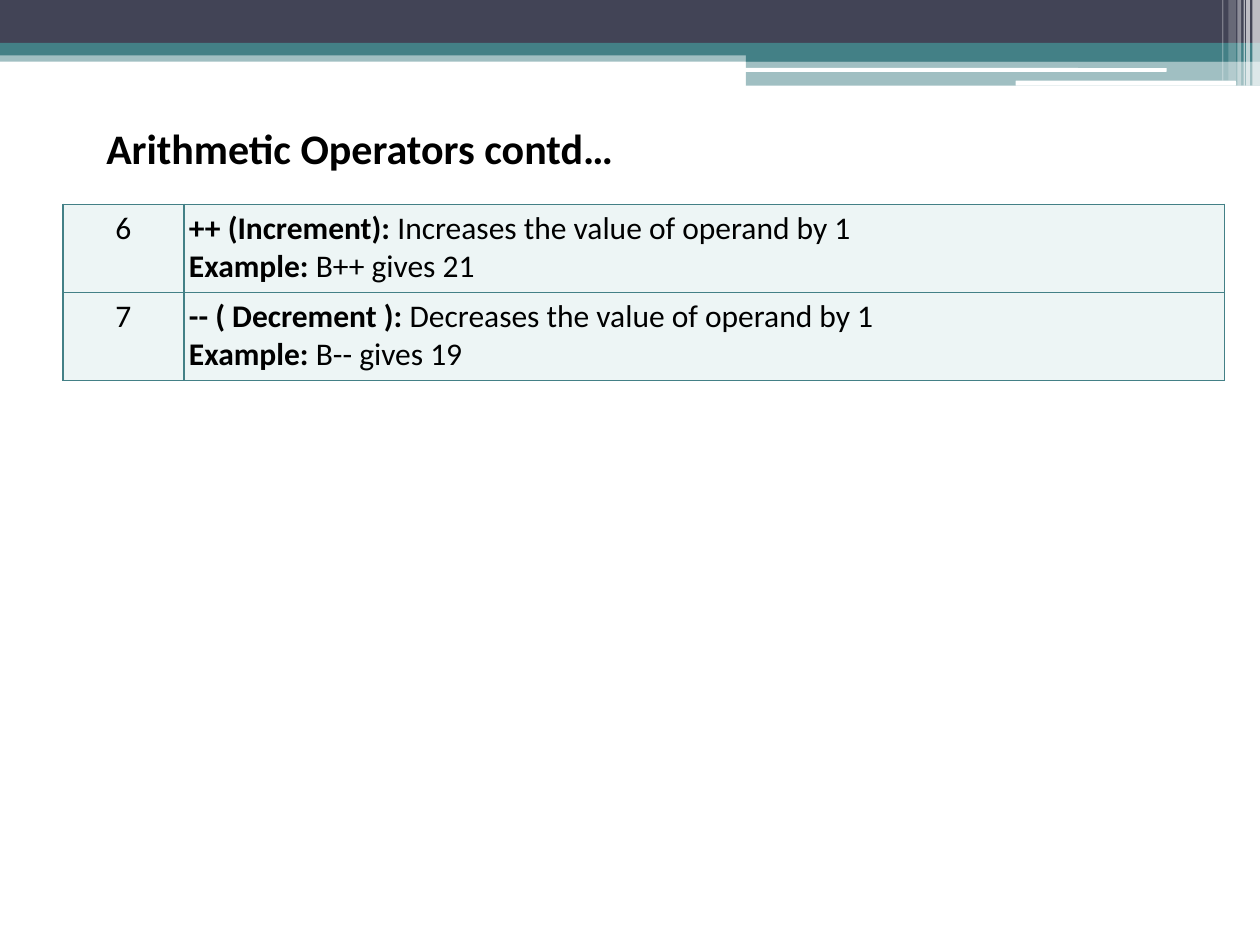
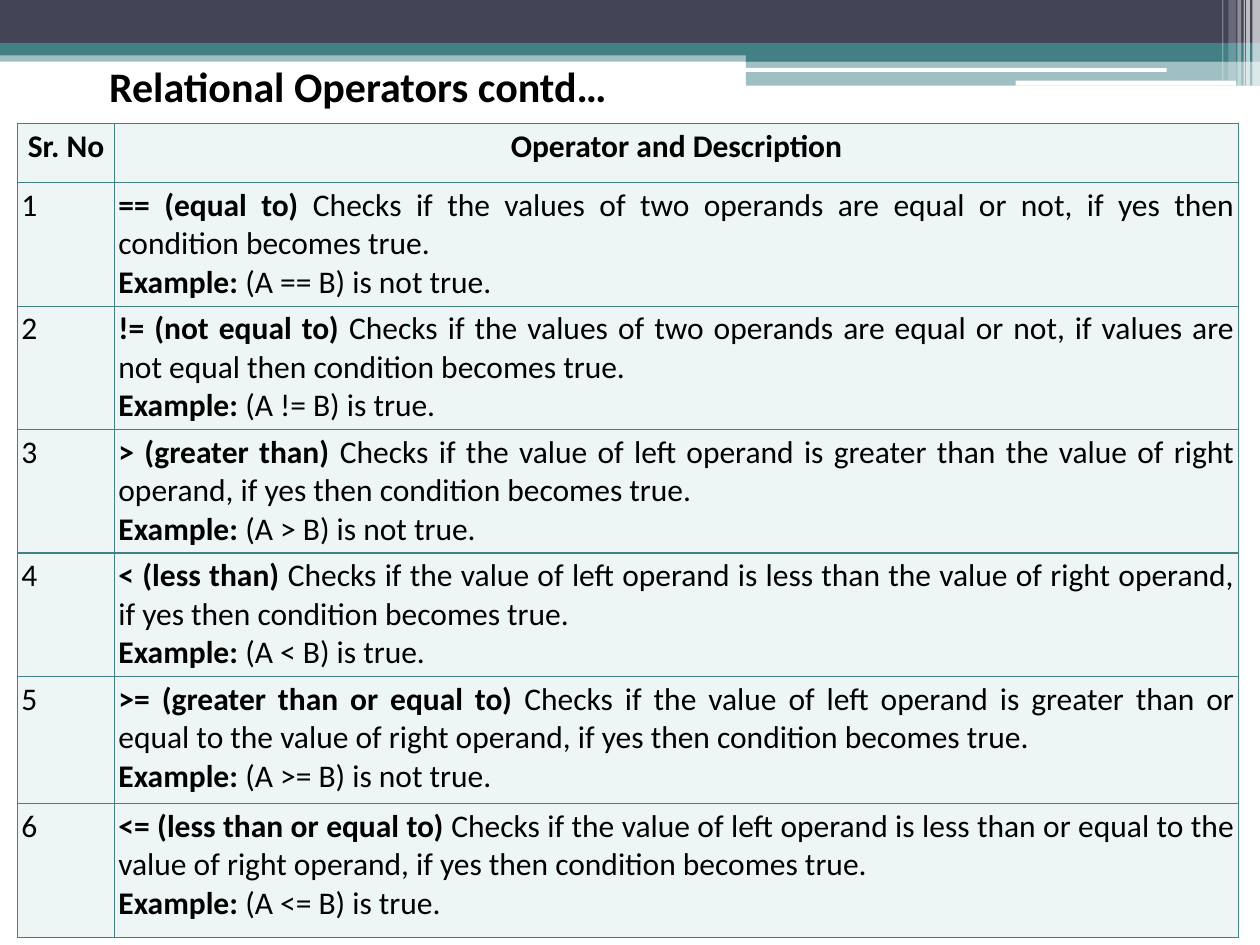
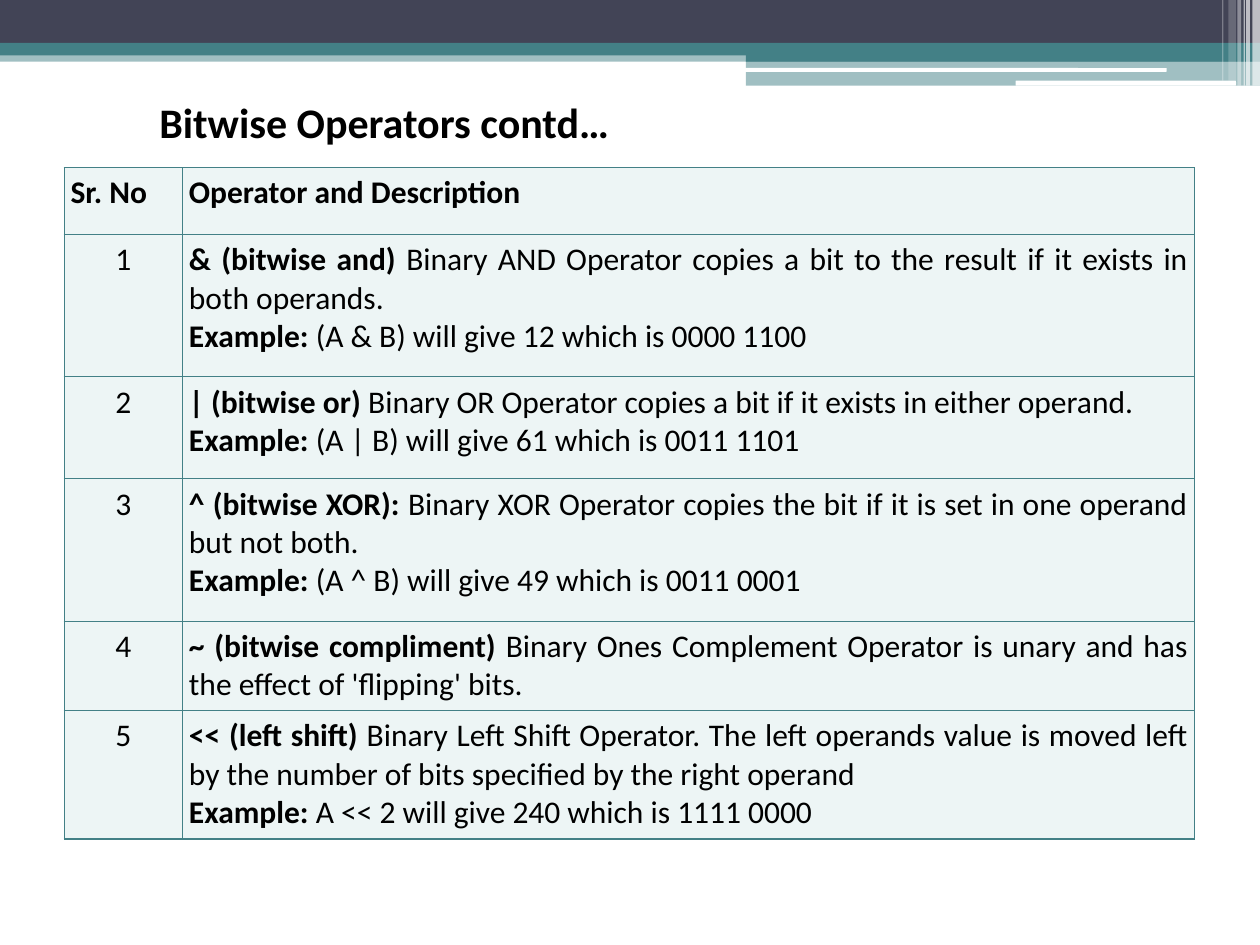
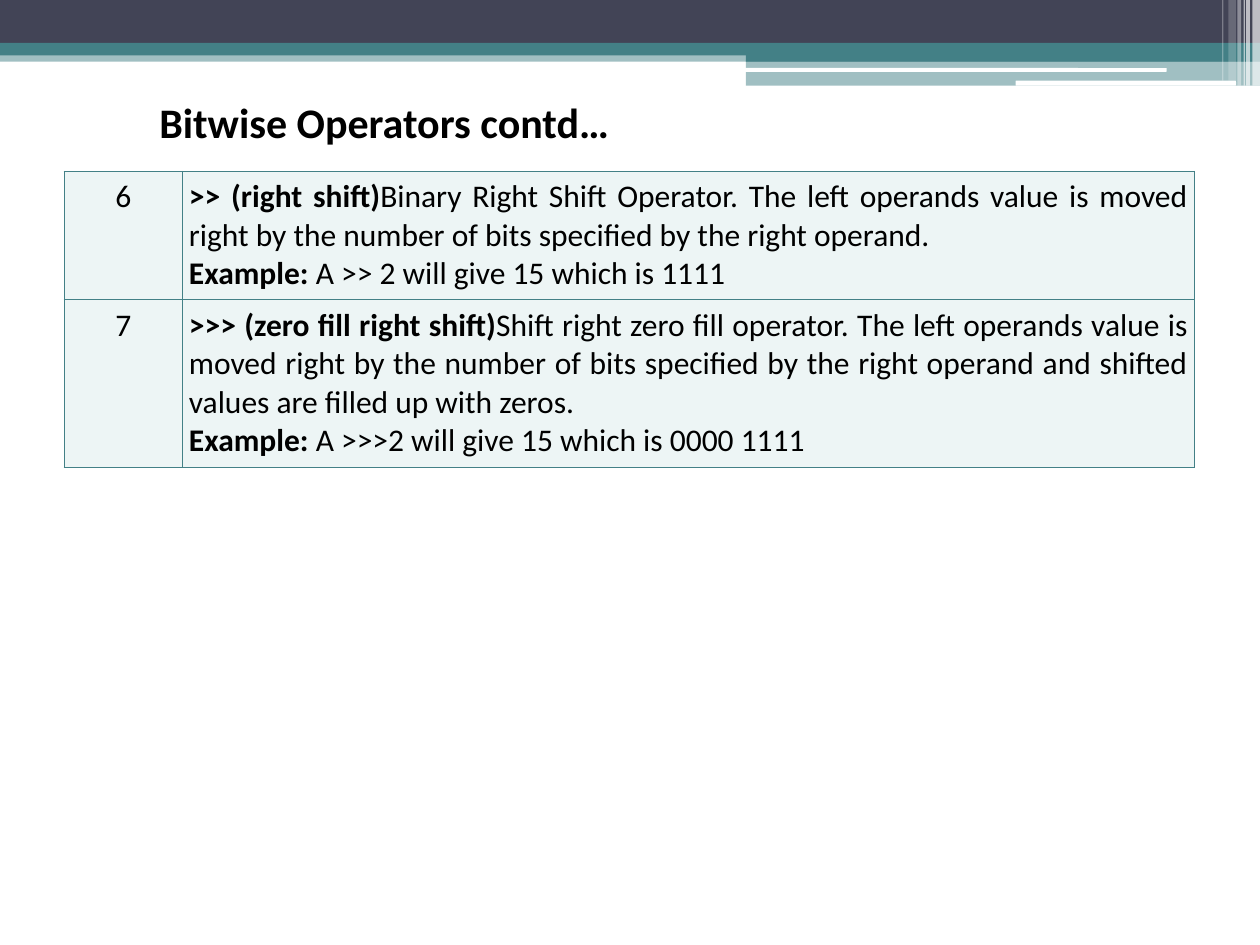
from lxml.etree import SubElement
from pptx import Presentation
from pptx.dml.color import RGBColor
from pptx.enum.shapes import MSO_SHAPE
from pptx.enum.text import MSO_ANCHOR, PP_ALIGN
from pptx.oxml.ns import qn
from pptx.util import Inches, Pt

NAVY = RGBColor(0x42, 0x44, 0x56)
TEAL = RGBColor(0x43, 0x80, 0x86)
PALE = RGBColor(0xED, 0xF5, 0xF5)
WHITE = RGBColor(0xFF, 0xFF, 0xFF)
BLACK = RGBColor(0x00, 0x00, 0x00)
FONT = "Calibri"
LEFT, CENTER, JUSTIFY = PP_ALIGN.LEFT, PP_ALIGN.CENTER, PP_ALIGN.JUSTIFY

BANDS = [
    ((0, 0.4, 10, 0.09), TEAL, 50),
    ((0, 0, 10, 0.34), NAVY, 100),
    ((0, 0.34, 10, 0.1), TEAL, 100),
    ((5.92, 0.39, 4.08, 0.1), TEAL, 100),
    ((5.92, 0.48, 4.08, 0.2), TEAL, 50),
]
BARS = [(5.91, 0.54, 3.35, 0.03), (8.06, 0.64, 1.75, 0.04)]
STRIPES = [
    (9.94, 0.06, 0.68, 65),
    (9.89, 0.03, 0.68, 65),
    (9.87, 0.01, 0.68, 60),
    (9.82, 0.03, 0.68, 40),
    (9.75, 0.06, 0.64, 20),
    (9.7, 0.01, 0.64, 30),
]

HEADER = ("Sr. No", "Operator and Description")
ARITHMETIC = [
    ("6", "++ (Increment): ", "Increases the value of operand by 1", "B++ gives 21"),
    ("7", "-- ( Decrement ): ", "Decreases the value of operand by 1", "B-- gives 19"),
]
RELATIONAL = [
    ("1", "== (equal to) ",
     "Checks if the values of two operands are equal or not, if yes then condition becomes true.",
     "(A == B) is not true."),
    ("2", "!= (not equal to) ",
     "Checks if the values of two operands are equal or not, if values are not equal then "
     "condition becomes true.",
     "(A != B) is true."),
    ("3", "> (greater than) ",
     "Checks if the value of left operand is greater than the value of right operand, if yes "
     "then condition becomes true.",
     "(A > B) is not true."),
    ("4", "< (less than) ",
     "Checks if the value of left operand is less than the value of right operand, if yes then "
     "condition becomes true.",
     "(A < B) is true."),
    ("5", ">= (greater than or equal to) ",
     "Checks if the value of left operand is greater than or equal to the value of right "
     "operand, if yes then condition becomes true.",
     "(A >= B) is not true."),
    ("6", "<= (less than or equal to) ",
     "Checks if the value of left operand is less than or equal to the value of right operand, "
     "if yes then condition becomes true.",
     "(A <= B) is true."),
]
BITWISE = [
    ("1", "& (bitwise and) ",
     "Binary AND Operator copies a bit to the result if it exists in both operands.",
     "(A & B) will give 12 which is 0000 1100"),
    ("2", "| (bitwise or) ",
     "Binary OR Operator copies a bit if it exists in either operand.",
     "(A | B) will give 61 which is 0011 1101"),
    ("3", "^ (bitwise XOR): ",
     "Binary XOR Operator copies the bit if it is set in one operand but not both.",
     "(A ^ B) will give 49 which is 0011 0001"),
    ("4", "~ (bitwise compliment) ",
     "Binary Ones Complement Operator is unary and has the effect of 'flipping' bits.", None),
    ("5", "<< (left shift) ",
     "Binary Left Shift Operator. The left operands value is moved left by the number of bits "
     "specified by the right operand",
     "A << 2 will give 240 which is 1111 0000"),
]
SHIFTS = [
    ("6", ">> (right shift)",
     "Binary Right Shift Operator. The left operands value is moved right by the number of bits "
     "specified by the right operand.",
     "A >> 2 will give 15 which is 1111"),
    ("7", ">>> (zero fill right shift)",
     "Shift right zero fill operator. The left operands value is moved right by the number of "
     "bits specified by the right operand and shifted values are filled up with zeros.",
     "A >>>2 will give 15 which is 0000 1111"),
]


def add_block(slide, box, color, opacity=100, kind=MSO_SHAPE.RECTANGLE):
    """Draw a borderless block and return it."""
    sp = slide.shapes.add_shape(kind, *map(Inches, box))
    sp.shadow.inherit = False
    sp.fill.solid()
    sp.fill.fore_color.rgb = color
    sp.line.fill.background()
    if opacity < 100:
        clr = sp.element.spPr.find(qn("a:solidFill"))[0]
        SubElement(clr, qn("a:alpha"), val=str(opacity * 1000))
    return sp


def add_banner(slide, layout):
    """Draw the top banner once and move it to the shared layout."""
    for ph in list(layout.placeholders):
        ph.element.getparent().remove(ph.element)
    blocks = [add_block(slide, *band) for band in BANDS]
    blocks += [add_block(slide, box, WHITE, kind=MSO_SHAPE.ROUNDED_RECTANGLE) for box in BARS]
    blocks += [add_block(slide, (x, 0, w, h), WHITE, a) for x, w, h, a in STRIPES]
    for sp in blocks:
        layout.shapes.element.append(sp.element)


def add_run(p, text, bold=False, size=18):
    """Append a black run to a paragraph."""
    r = p.add_run()
    r.text = text
    r.font.name = FONT
    r.font.size = Pt(size)
    r.font.bold = bold
    r.font.color.rgb = BLACK


def add_title(slide, box, text, indent=0, spacing=1.0):
    """Place the centred slide title in its box."""
    tf = slide.shapes.add_textbox(*map(Inches, box)).text_frame
    tf.word_wrap = True
    tf.vertical_anchor = MSO_ANCHOR.MIDDLE
    p = tf.paragraphs[0]
    p.alignment = CENTER
    p.space_before = Pt(6)
    p.line_spacing = spacing
    if indent:
        p._p.get_or_add_pPr().set("marL", str(Inches(indent)))
    add_run(p, text, bold=True, size=24)


def style_cell(cell, inset):
    """Give a cell its margins, teal borders and pale fill."""
    cell.margin_left = cell.margin_right = Inches(inset)
    cell.margin_top = cell.margin_bottom = Inches(inset)
    tcPr = cell._tc.get_or_add_tcPr()
    for side in ("lnL", "lnR", "lnT", "lnB"):
        ln = SubElement(tcPr, qn(f"a:{side}"), w=str(Pt(0.75)))
        SubElement(SubElement(ln, qn("a:solidFill")), qn("a:srgbClr"), val=str(TEAL))
    cell.fill.solid()
    cell.fill.fore_color.rgb = PALE


def write_cell(cell, runs, align):
    """Write (text, bold) runs into the first paragraph of a cell."""
    p = cell.text_frame.paragraphs[0]
    p.alignment = align
    for text, bold in runs:
        add_run(p, text, bold)


def add_operators(slide, origin, cols, heights, entries, inset, number_align=CENTER,
                  header_align=None):
    """Place an operator table, with a header row if header_align is given."""
    first = 0 if header_align is None else 1
    x, y = origin
    box = (x, y, sum(cols), sum(heights))
    table = slide.shapes.add_table(len(heights), len(cols), *map(Inches, box)).table
    table.first_row = table.horz_banding = False
    for col, width in zip(table.columns, cols):
        col.width = Inches(width)
    for row, height in zip(table.rows, heights):
        row.height = Inches(height)
    for cell in table.iter_cells():
        style_cell(cell, inset)
    if first:
        for cell, text in zip(table.rows[0].cells, HEADER):
            write_cell(cell, [(text, True)], header_align)
    for i, (number, operator, description, example) in enumerate(entries, first):
        write_cell(table.cell(i, 0), [(number, False)], number_align)
        cell = table.cell(i, 1)
        write_cell(cell, [(operator, True), (description, False)], JUSTIFY)
        if example:
            p = cell.text_frame.add_paragraph()
            p.alignment = LEFT
            add_run(p, "Example: ", bold=True)
            add_run(p, example)


def main():
    """Build the four operator slides."""
    prs = Presentation()
    prs.slide_width, prs.slide_height = Inches(10), Inches(7.5)
    layout = prs.slide_layouts[6]
    arithmetic, relational, bitwise, shifts = [prs.slides.add_slide(layout) for _ in range(4)]
    add_banner(arithmetic, layout)

    add_operators(arithmetic, (0.5, 1.62), (0.96, 8.26), [0.7] * 2, ARITHMETIC, 0.04)
    add_title(arithmetic, (0.55, 0.89, 4.61, 0.57), "Arithmetic Operators contd…")

    add_operators(relational, (0.14, 0.98), (0.77, 8.92), [0.47] + [0.98] * 4 + [1.01, 1.06],
                  RELATIONAL, 0.03, number_align=LEFT, header_align=CENTER)
    add_title(relational, (0.2, 0.52, 5.28, 0.39), "Relational Operators contd…", spacing=0.8)

    bitwise_cols = (0.94, 8.03)
    add_operators(bitwise, (0.51, 1.33), bitwise_cols, [0.53, 1.13, 0.81, 1.13, 0.71, 1.02],
                  BITWISE, 0.05, header_align=LEFT)
    add_operators(shifts, (0.51, 1.36), bitwise_cols, [1.02, 1.33], SHIFTS, 0.05)
    for slide in (bitwise, shifts):
        add_title(slide, (0.43, 0.68, 5.12, 0.57), "Bitwise Operators contd…", indent=0.12)

    prs.save("out.pptx")


if __name__ == "__main__":
    main()
